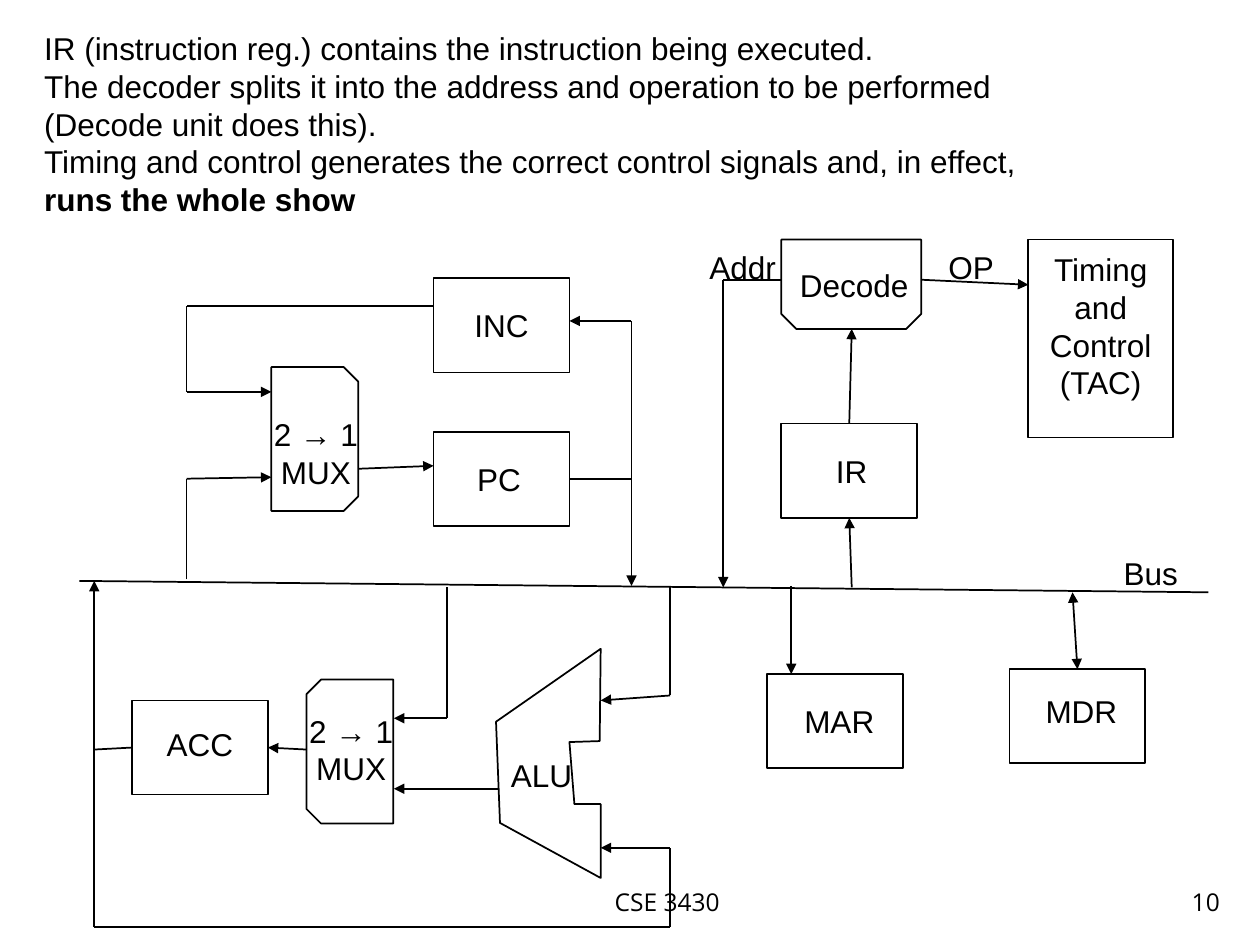
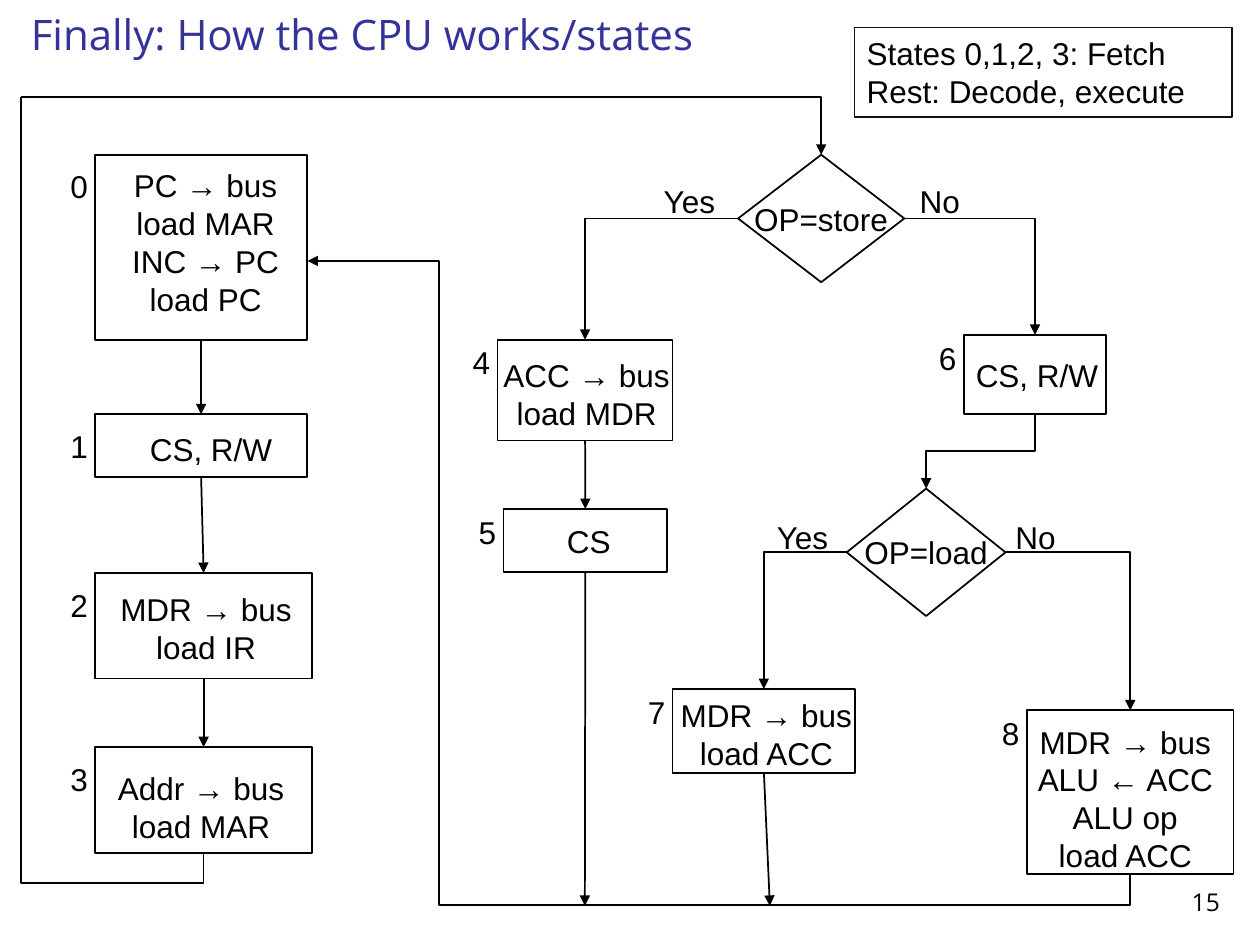
from lxml.etree import SubElement
from pptx import Presentation
from pptx.dml.color import RGBColor
from pptx.enum.shapes import MSO_CONNECTOR as Link, MSO_SHAPE as Kind
from pptx.enum.text import MSO_ANCHOR as Anchor, MSO_AUTO_SIZE as Fit, PP_ALIGN as Align
from pptx.oxml.ns import qn
from pptx.util import Cm, Pt

HUES = {"ink": "000000", "title": "333399", "frame": "111111"}
BODY, HEAD = "Arial", "Open Sans"
TOP, LEFT, BOTTOM, RIGHT = range(4)
SIDES = {TOP: (0.5, 0), LEFT: (0, 0.5), BOTTOM: (0.5, 1), RIGHT: (1, 0.5)}
UNIT = (2.74, 1.9)


def hue(name):
    return RGBColor.from_string(HUES[name])


def write(frame, text, align=Align.LEFT, size=18, face=BODY, color="ink"):
    frame.text = text
    for para in frame.paragraphs:
        para.alignment = align
        para.font.size, para.font.name = Pt(size), face
        para.font.color.rgb = hue(color)


def ink(line, width=1, color="ink"):
    line.width = Pt(width)
    line.color.rgb = hue(color)


def outline(shape, width=1, color="ink"):
    shape.shadow.inherit = False
    shape.fill.background()
    ink(shape.line, width, color)


class Pen:
    """Draws on a slide, with lengths in cm from the region's top left corner."""

    def __init__(self, slide, left=0, top=0):
        self.shapes = slide.shapes
        self.left, self.top = Cm(left), Cm(top)

    def point(self, end):
        """Place of an (x, y) pair or of a (shape, side) pair."""
        if isinstance(end[0], (int, float)):
            return self.left + Cm(end[0]), self.top + Cm(end[1])
        shape, side = end
        part_x, part_y = SIDES[side]
        return (shape.left + int(shape.width * part_x),
                shape.top + int(shape.height * part_y))

    def text(self, x, y, wide, text, high=1, anchor=Anchor.TOP, **style):
        area = self.shapes.add_textbox(*self.point((x, y)), Cm(wide), Cm(high))
        area.text_frame.word_wrap = True
        area.text_frame.vertical_anchor = anchor
        write(area.text_frame, text, **style)
        return area

    def box(self, x, y, wide, high, text="", kind=Kind.RECTANGLE, nudge=(0, 0)):
        """Outlined shape; nudge moves its centred text by (right, down)."""
        shape = self.shapes.add_shape(kind, *self.point((x, y)), Cm(wide), Cm(high))
        outline(shape)
        if text:
            frame = shape.text_frame
            right, down = nudge
            frame.margin_left, frame.margin_right = Cm(max(0, 2 * right)), Cm(max(0, -2 * right))
            frame.margin_top, frame.margin_bottom = Cm(max(0, 2 * down)), Cm(max(0, -2 * down))
            frame.vertical_anchor = Anchor.MIDDLE
            frame.word_wrap = kind != Kind.DIAMOND
            write(frame, text, Align.CENTER)
        return shape

    def link(self, kind, start, end, tips):
        line = self.shapes.add_connector(kind, *start, *end)
        ink(line.line)
        props = line.element.spPr
        stroke = props.find(qn("a:ln"))
        for tip in tips:
            SubElement(stroke, qn(f"a:{tip}"), type="triangle")
        SubElement(props, qn("a:effectLst"))
        return line

    def wire(self, start, end, *tips):
        line = self.link(Link.STRAIGHT, self.point(start), self.point(end), tips)
        for spot, join in ((start, line.begin_connect), (end, line.end_connect)):
            if not isinstance(spot[0], (int, float)):
                join(*spot)

    def route(self, *stops):
        """Chain of straight wires with an arrowhead at the last stop."""
        for start, end in zip(stops[:-2], stops[1:-1]):
            self.wire(start, end)
        self.wire(stops[-2], stops[-1], "tailEnd")

    def bend(self, start, end, *tips):
        """One corner: across first, then down."""
        line = self.link(Link.ELBOW, self.point(start), self.point(end), tips)
        line.element.spPr.find(qn("a:prstGeom")).set("prst", "bentConnector2")

    def turn(self, start, end, *tips, bends=(0.5,)):
        """Leaves downwards and ends further left; bends are shares of the span."""
        (x1, y1), (x2, y2) = self.point(start), self.point(end)
        mid_x, mid_y = (x1 + x2) // 2, (y1 + y2) // 2
        half_w, half_h = abs(y2 - y1) // 2, abs(x2 - x1) // 2
        line = self.link(Link.ELBOW, (mid_x - half_w, mid_y - half_h),
                         (mid_x + half_w, mid_y + half_h), tips)
        props = line.element.spPr
        frame, shape = props.find(qn("a:xfrm")), props.find(qn("a:prstGeom"))
        frame.set("rot", "5400000")
        if y2 < y1:
            frame.set("flipH", "1")
        shape.set("prst", f"bentConnector{len(bends) + 2}")
        guides = shape.find(qn("a:avLst"))
        for num, share in enumerate(bends, 1):
            SubElement(guides, qn("a:gd"), name=f"adj{num}",
                       fmla=f"val {round(share * 100000)}")

    def mux(self, x, y, angle, drop):
        """Upright multiplexer, its snipped side set by the angle."""
        wide, high = 1.75, 2.9
        shift = (high - wide) / 2
        shape = self.box(x - shift, y + shift, high, wide, kind=Kind.SNIP_2_SAME_RECTANGLE)
        shape.rotation = angle
        self.text(x - 0.42, y + drop, 2.64, "2 → 1\nMUX", high=1.7, align=Align.CENTER)

    def state(self, num, x, y, wide, high, text, nudge=(0, 0), drop=-0.05):
        self.text(x - 0.75, y + drop, 0.97, str(num))
        return self.box(x, y, wide, high, text, nudge=nudge)


def footer(slide, num, label=""):
    pen = Pen(slide, 0, 17.33)
    style = dict(high=1.27, anchor=Anchor.BOTTOM, size=14, face=HEAD)
    if label:
        pen.text(6.3, 0, 14.3, label, align=Align.CENTER, **style)
    pen.text(19.56, 0, 5.28, str(num), align=Align.RIGHT, **style)


def intro(pen):
    area = pen.text(0, 0, 20.1, (
        "IR (instruction reg.) contains the instruction being executed.\n"
        "The decoder splits it into the address and operation to be performed "
        "(Decode unit does this).\n"
        "Timing and control generates the correct control signals and, in effect, "), high=4.88)
    run = area.text_frame.paragraphs[-1].add_run()
    run.text = "runs the whole show"
    run.font.bold = True


def bus(pen):
    pen.wire((0, 0), (22.76, 0.23))
    pen.text(20.8, -0.66, 1.88, "Bus")


def counter(pen):
    pen.mux(1.71, 1.79, 90, 0.85)
    pen.box(4.98, 0, *UNIT, "INC")
    count = pen.box(4.98, 3.1, *UNIT, "PC", nudge=(-0.05, 0))
    trunk = 8.97
    pen.route((4.98, 0.56), (0, 0.56), (0, 2.29), (1.71, 2.29))
    pen.route((0, 6.07), (0, 4.04), (1.71, 4.01))
    pen.route((3.46, 3.84), (4.98, 3.78))
    pen.route((trunk, 0.86), (trunk, 6.2))
    pen.route((trunk, 0.86), (7.72, 0.86))
    pen.wire((count, RIGHT), (trunk, 4.05))


def adder(pen):
    rim = [(8.1, 2.84), (10.21, 1.37), (10.19, 3.23), (9.58, 3.25),
           (9.68, 4.5), (10.21, 4.5), (10.21, 5.99), (8.18, 4.88)]
    build = pen.shapes.build_freeform(*pen.point(rim[0]))
    build.add_line_segments([pen.point(spot) for spot in rim[1:]], close=True)
    outline(build.convert_to_shape())
    pen.text(8.15, 3.4, 2.16, "ALU")


def math_unit(pen):
    acc = pen.box(0.76, 2.41, *UNIT, "ACC", nudge=(0, -0.08))
    adder(pen)
    pen.mux(4.28, 1.99, 270, 0.52)
    feed, port = 11.61, 6.04
    pen.route((feed, 0.13), (feed, 2.31), (10.21, 2.41))
    pen.route((7.11, 0.13), (7.11, 2.77), (port, 2.77))
    pen.route((8.15, 4.19), (port, 4.19))
    pen.route((4.28, 3.4), (acc, RIGHT))
    pen.route((0, 6.98), (0, 0))
    pen.wire((0, 3.4), (acc, LEFT))
    pen.route((0, 6.98), (feed, 6.98), (feed, 5.38), (10.21, 5.38))


def memory(pen):
    pen.box(0, 1.78, *UNIT, "MAR", nudge=(0.08, 0))
    data = pen.box(4.88, 1.68, *UNIT, "MDR", nudge=(0.08, -0.1))
    pen.route((0.48, 0), (0.48, 1.78))
    pen.wire((6.15, 0.13), (data, TOP), "headEnd", "tailEnd")


def decoder(pen):
    pen.box(1.17, 0, 2.82, 1.8, kind=Kind.SNIP_2_SAME_RECTANGLE).rotation = 180
    pen.text(0.89, 0.41, 3.5, "Decode", align=Align.CENTER)
    pen.box(6.15, 0, 2.92, 3.99, "Timing\nand\nControl\n(TAC)", nudge=(0, -0.26))
    reg = pen.box(1.17, 3.71, *UNIT, "IR", nudge=(0.05, 0))
    pen.route((4.01, 0.81), (6.15, 0.91))
    pen.route((1.17, 0.81), (0, 0.81), (0, 7.01))
    pen.route((reg, TOP), (2.59, 1.8))
    pen.route((2.59, 7.01), (reg, BOTTOM))
    pen.text(4.29, 0.05, 1.47, "OP")
    pen.text(-0.53, 0.05, 1.85, "Addr")


def fetch(pen):
    """States 0 to 3; returns the last one."""
    rows = [(0, 4.27, 3.73, "PC → bus\nload MAR\nINC → PC\nload PC", (0.09, -0.11)),
            (5.23, 4.27, 1.27, "CS, R/W", (0.2, 0.07)),
            (8.43, 4.37, 2.13, "MDR → bus\nload IR", (0.05, 0.05)),
            (11.94, 4.37, 2.13, "Addr → bus\nload MAR", (-0.05, 0.15))]
    states = [pen.state(num, 0.75, y, wide, high, text, nudge, drop=0.13)
              for num, (y, wide, high, text, nudge) in enumerate(rows)]
    for here, below in zip(states, states[1:]):
        pen.route((here, BOTTOM), (below, TOP))
    return states[-1]


def execute(pen):
    """Both tests and states 4 to 8; returns the first test and the last state."""
    store = pen.box(4.85, 0, 3.35, 2.57, "OP=store", Kind.DIAMOND)
    load = pen.box(7.04, 6.73, 3.2, 2.57, "OP=load", Kind.DIAMOND)
    four = pen.state(4, 0, 3.73, 3.53, 2.03, "ACC → bus\nload MDR", (0.03, 0.08))
    five = pen.state(5, 0.12, 7.14, 3.3, 1.27, "CS", (0.07, 0))
    six = pen.state(6, 9.4, 3.63, 2.87, 1.6, "CS, R/W", (0.04, 0))
    seven = pen.state(7, 3.53, 10.77, 3.68, 1.7, "MDR → bus\nload ACC", (0.05, 0.05))
    eight = pen.state(8, 10.67, 11.2, 4.17, 3.3,
                      "MDR → bus\nALU ← ACC\nALU op\nload ACC", (-0.1, 0.12))
    for test, yes, no in ((store, four, six), (load, seven, eight)):
        pen.bend((test, LEFT), (yes, TOP), "tailEnd")
        pen.bend((test, RIGHT), (no, TOP), "tailEnd")
    for x, y, word in ((3.1, 0.43, "Yes"), (8.26, 0.43, "No"),
                       (5.38, 7.19, "Yes"), (10.19, 7.19, "No")):
        pen.text(x, y, 1.65, word)
    pen.turn((six, BOTTOM), (load, TOP), "tailEnd")
    pen.route((four, BOTTOM), (five, TOP))
    pen.route((five, BOTTOM), (1.76, 15.14))
    pen.route((seven, BOTTOM), (5.49, 15.14))
    return store, eight


def loops(pen, fetched, test, done):
    corner = (0.43, 1.96)
    pen.turn((fetched, BOTTOM), corner, bends=(-0.04,))
    pen.bend(corner, (test, TOP), "tailEnd")
    pen.turn((done, BOTTOM), (6.2, 5.26), "tailEnd", bends=(-0.05, 0.84))


def heading(slide, text):
    title = slide.shapes.title
    title.left, title.top, title.width, title.height = Cm(0.1), Cm(-0.53), Cm(14.4), Cm(1.85)
    frame = title.text_frame
    frame.auto_size = Fit.NONE
    frame.vertical_anchor = Anchor.BOTTOM
    write(frame, text, Align.CENTER, 24, HEAD, "title")


def legend(pen):
    area = pen.text(0, 0, 7.62, "States 0,1,2, 3: Fetch\nRest: Decode, execute", high=1.8)
    ink(area.line, 0.75, "frame")


def data_path(slide):
    bus(Pen(slide, 1.6, 11.71))
    memory(Pen(slide, 15.47, 11.81))
    counter(Pen(slide, 3.76, 5.61))
    math_unit(Pen(slide, 1.9, 11.71))
    decoder(Pen(slide, 14.58, 4.83))
    intro(Pen(slide, 0.64, 0.46))
    footer(slide, 10, "CSE 3430")


def state_chart(slide):
    heading(slide, "Finally: How the CPU works/states")
    fetched = fetch(Pen(slide, 1.17, 3.12))
    test, done = execute(Pen(slide, 10.03, 3.12))
    loops(Pen(slide), fetched, test, done)
    legend(Pen(slide, 17.22, 0.56))
    footer(slide, 15)


def main():
    deck = Presentation()
    deck.slide_width, deck.slide_height = Cm(25.4), Cm(19.05)
    only_title, blank = deck.slide_layouts[5], deck.slide_layouts[6]
    data_path(deck.slides.add_slide(blank))
    state_chart(deck.slides.add_slide(only_title))
    deck.save("out.pptx")


if __name__ == "__main__":
    main()
